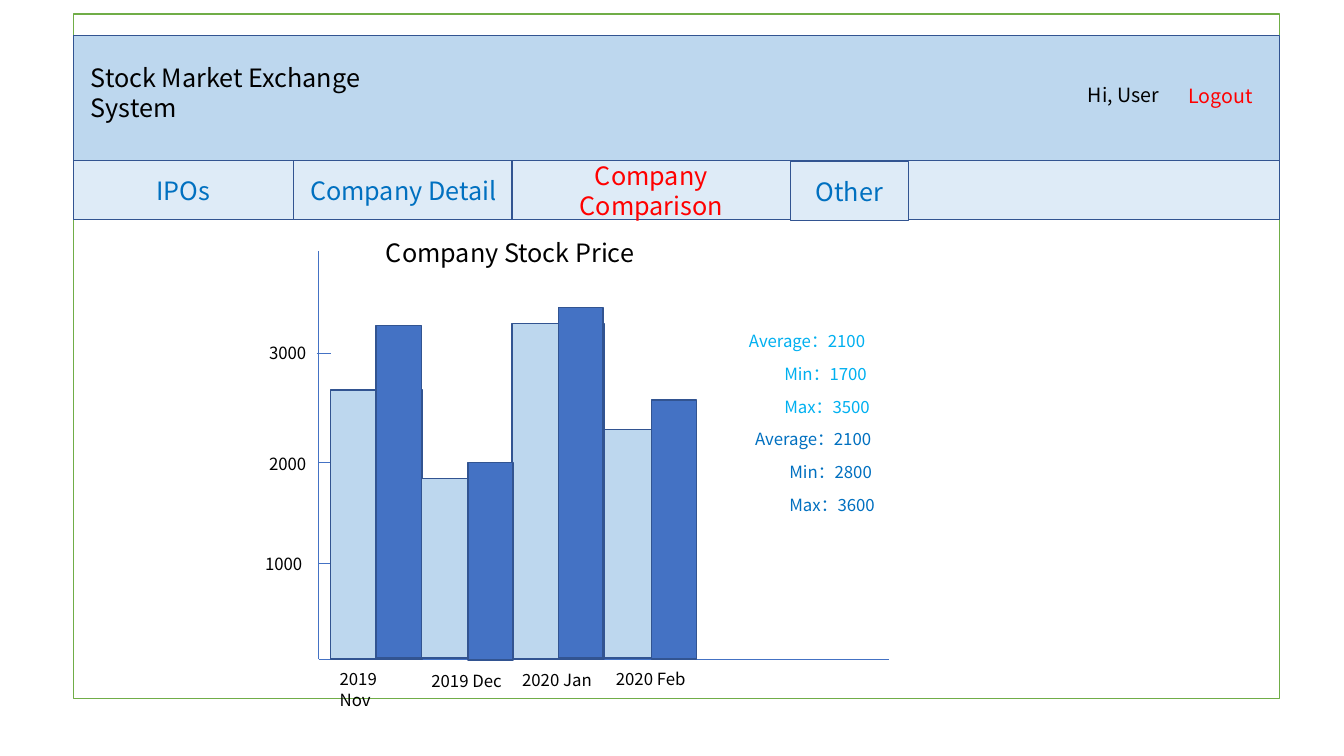
from pptx import Presentation
from pptx import util as u
from pptx.dml.color import RGBColor
from pptx.enum import shapes, text
from pptx.oxml.ns import qn
from lxml import etree

PX = 9144  # EMU per px, 100 px to the inch
FONT = "Noto Sans CJK SC"
BLACK = RGBColor(0x00, 0x00, 0x00)
WHITE = RGBColor(0xFF, 0xFF, 0xFF)
RED = RGBColor(0xFF, 0x00, 0x00)
GREEN = RGBColor(0x70, 0xAD, 0x47)
NAVY = RGBColor(0x32, 0x54, 0x91)
BLUE = RGBColor(0x44, 0x72, 0xC4)
LINK_BLUE = RGBColor(0x00, 0x70, 0xC0)
SKY = RGBColor(0x00, 0xB0, 0xF0)
PALE = RGBColor(0xBD, 0xD7, 0xEE)
PALER = RGBColor(0xDE, 0xEB, 0xF7)

deck = Presentation()
deck.slide_width, deck.slide_height = 1333 * PX, 750 * PX
slide = deck.slides.add_slide(deck.slide_layouts[5])


def add_box(left, top, width, height, fill, line=NAVY):
    box = slide.shapes.add_shape(
        shapes.MSO_SHAPE.RECTANGLE, left * PX, top * PX, width * PX, height * PX)
    box.shadow.inherit = False
    box.fill.solid()
    box.fill.fore_color.rgb = fill
    box.line.color.rgb = line
    box.line.width = u.Pt(1)
    return box


def write(holder, wording, size, color, align=text.PP_ALIGN.LEFT,
          anchor=text.MSO_ANCHOR.TOP):
    frame = holder.text_frame
    frame.word_wrap = True
    frame.auto_size = text.MSO_AUTO_SIZE.NONE
    frame.vertical_anchor = anchor
    paragraph = frame.paragraphs[0]
    paragraph.alignment = align
    paragraph.line_spacing = 1.0
    run = paragraph.add_run()
    run.text = wording
    run.font.name = FONT
    run.font.size = u.Pt(size)
    run.font.color.rgb = color


# Page frame, header and navigation bar
add_box(73, 14, 1196, 679, WHITE, GREEN)
add_box(73, 35, 1196, 124, PALE)
title = slide.shapes.title
title.left, title.top, title.width, title.height = [
    n * PX for n in (80, 57, 370, 40)]
write(title, "Stock Market Exchange System", 18, BLACK)
slide.shapes._spTree.append(title._element)  # in front of the header

add_box(73, 159, 1196, 59, PALER)
for left, top, width, wording, color in (
        (73, 159, 218, "IPOs", LINK_BLUE),
        (291, 159, 218, "Company Detail", LINK_BLUE),
        (508, 159, 276, "Company Comparison", RED),
        (784, 160, 117, "Other", LINK_BLUE)):
    tab = add_box(left, top, width, 59, PALER)
    write(tab, wording, 18, color, text.PP_ALIGN.CENTER, text.MSO_ANCHOR.MIDDLE)

# Axes and ticks
AXIS_X, BASE_Y = 316, 654
for x1, y1, x2, y2 in (
        (AXIS_X, 249, AXIS_X, BASE_Y),
        (AXIS_X, BASE_Y, 882, BASE_Y),
        (AXIS_X, 559, 330, 559),
        (AXIS_X, 459, 330, 459),
        (314, 351, 328, 351)):
    axis = slide.shapes.add_connector(
        shapes.MSO_CONNECTOR.STRAIGHT, x1 * PX, y1 * PX, x2 * PX, y2 * PX)
    axis.line.color.rgb = BLUE
    axis.line.width = u.Pt(0.5)
    etree.SubElement(axis._element.spPr, qn("a:effectLst"))

# Bars: left, top, width, height
first_company = ((328, 387, 91, 267), (418, 475, 91, 178),
                 (508, 321, 91, 333), (599, 426, 91, 227))
second_company = ((373, 323, 45, 330), (464, 459, 45, 196),
                  (554, 305, 44, 348), (646, 397, 45, 257))
for bars, fill in ((first_company, PALE), (second_company, BLUE)):
    for bar in bars:
        add_box(*bar, fill)

# Labels: left, top, width, height, wording, size, colour
for left, top, width, height, wording, size, color in (
        (1069, 77, 144, 34, "Hi, User", 14, BLACK),
        (1169, 78, 144, 34, "Logout", 14, RED),
        (373, 231, 499, 40, "Company Stock Price", 18, BLACK),
        (257, 335, 91, 30, "3000", 12, BLACK),
        (257, 445, 91, 30, "2000", 12, BLACK),
        (253, 544, 91, 30, "1000", 12, BLACK),
        (327, 659, 91, 30, "2019 Nov", 12, BLACK),
        (418, 661, 91, 30, "2019 Dec", 12, BLACK),
        (508, 660, 91, 30, "2020 Jan", 12, BLACK),
        (601, 659, 91, 30, "2020 Feb", 12, BLACK),
        (733, 323, 149, 30, "Average：2100", 12, SKY),
        (768, 356, 149, 30, "Min：1700", 12, SKY),
        (768, 389, 149, 30, "Max：3500", 12, SKY),
        (739, 420, 149, 30, "Average：2100", 12, LINK_BLUE),
        (773, 453, 149, 30, "Min：2800", 12, LINK_BLUE),
        (773, 486, 149, 30, "Max：3600", 12, LINK_BLUE)):
    label = slide.shapes.add_textbox(left * PX, top * PX, width * PX, height * PX)
    write(label, wording, size, color)

deck.save("out.pptx")
